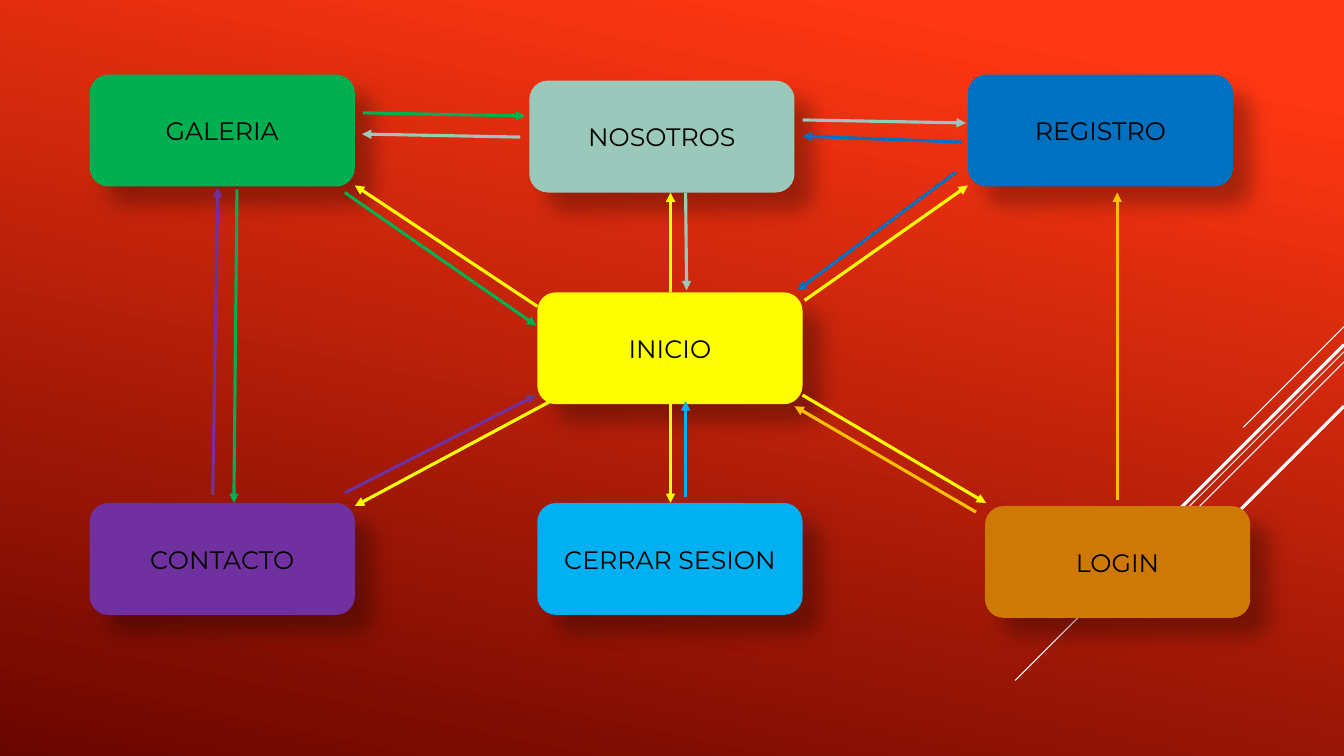
from dataclasses import dataclass

from lxml import etree
from pptx import Presentation
from pptx.dml.color import RGBColor
from pptx.enum.shapes import MSO_CONNECTOR, MSO_SHAPE
from pptx.enum.text import MSO_ANCHOR, PP_ALIGN
from pptx.oxml.ns import qn
from pptx.util import Inches, Pt

STRAIGHT = MSO_CONNECTOR.STRAIGHT
ROUNDED = MSO_SHAPE.ROUNDED_RECTANGLE
MIDDLE = MSO_ANCHOR.MIDDLE
CENTER = PP_ALIGN.CENTER

Point = tuple[float, float]


@dataclass(frozen=True)
class Theme:
    font: str = "Montserrat"
    text_size: float = 18
    text: str = "000000"
    shadow: str = "000000"
    backdrop_start: str = "FF3712"
    backdrop_end: str = "6A0600"
    ray: str = "FFFFFF"
    thin: float = 0.75
    thick: float = 2.25
    yellow: str = "FFFF00"
    purple: str = "7030A0"
    cyan: str = "00B0F0"
    sage: str = "9AC8BA"
    green: str = "00B050"
    blue: str = "0070C0"
    ochre: str = "CE7805"
    amber: str = "FFC000"


@dataclass(frozen=True)
class Ray:
    top: float
    reach: float
    width: float


@dataclass(frozen=True)
class SitePage:
    name: str
    left: float
    top: float
    fill: str


@dataclass(frozen=True)
class Routes:
    color: str
    ends: list[tuple[Point, Point]]


THEME = Theme()
SLIDE_WIDTH, SLIDE_HEIGHT = 13.33, 7.5
BOX_WIDTH, BOX_HEIGHT = 2.63, 1.11
LEFT_COLUMN, CENTER_COLUMN = 0.89, 5.33
TOP_ROW, BOTTOM_ROW = 0.74, 4.99

RAYS = [
    Ray(3.24, 1.0, THEME.thin),
    Ray(3.49, 3.26, THEME.thin),
    Ray(3.59, 2.07, THEME.thin),
    Ray(3.42, 1.91, THEME.thick),
    Ray(4.03, 1.39, THEME.thick),
]

SITE_PAGES = [
    SitePage("INICIO", CENTER_COLUMN, 2.9, THEME.yellow),
    SitePage("CONTACTO", LEFT_COLUMN, BOTTOM_ROW, THEME.purple),
    SitePage("CERRAR SESION", CENTER_COLUMN, BOTTOM_ROW, THEME.cyan),
    SitePage("NOSOTROS", 5.25, 0.8, THEME.sage),
    SitePage("GALERIA", LEFT_COLUMN, TOP_ROW, THEME.green),
    SitePage("REGISTRO", 9.6, TOP_ROW, THEME.blue),
    SitePage("LOGIN", 9.77, 5.02, THEME.ochre),
]

ROUTES = [
    Routes(THEME.yellow, [
        ((6.65, 2.9), (6.65, 1.91)),
        ((6.65, 3.97), (6.65, 4.99)),
        ((5.48, 3.97), (3.52, 5.02)),
        ((5.33, 3.04), (3.52, 1.84)),
        ((7.98, 2.98), (9.6, 1.84)),
        ((7.96, 3.92), (9.78, 4.99)),
    ]),
    Routes(THEME.amber, [
        ((9.68, 5.08), (7.88, 4.03)),
        ((11.08, 4.96), (11.08, 1.91)),
    ]),
    Routes(THEME.sage, [
        ((6.8, 1.91), (6.81, 2.88)),
        ((5.16, 1.36), (3.59, 1.33)),
        ((7.96, 1.19), (9.58, 1.22)),
    ]),
    Routes(THEME.green, [
        ((3.42, 1.91), (5.32, 3.23)),
        ((2.35, 1.88), (2.32, 4.99)),
        ((3.6, 1.12), (5.21, 1.15)),
    ]),
    Routes(THEME.blue, [
        ((9.48, 1.71), (7.91, 2.88)),
        ((9.54, 1.41), (7.96, 1.35)),
    ]),
    Routes(THEME.purple, [
        ((3.42, 4.89), (5.32, 3.92)),
        ((2.11, 4.91), (2.16, 1.86)),
    ]),
    Routes(THEME.cyan, [((6.8, 4.93), (6.8, 3.98))]),
]


def paint_backdrop(slide) -> None:
    fill = slide.background.fill
    fill.gradient()
    fill.gradient_angle = 258
    stops = [(0.1, THEME.backdrop_start), (1.0, THEME.backdrop_end)]
    for stop, (position, color) in zip(fill.gradient_stops, stops):
        stop.position = position
        stop.color.rgb = RGBColor.from_string(color)


def draw_line(slide, start: Point, end: Point, color: str, width: float):
    connector = slide.shapes.add_connector(
        STRAIGHT, *(Inches(value) for value in (*start, *end)))
    connector.line.color.rgb = RGBColor.from_string(color)
    connector.line.width = Pt(width)
    etree.SubElement(connector._element.spPr, qn("a:effectLst"))
    return connector


def draw_ray(slide, ray: Ray) -> None:
    end = (SLIDE_WIDTH - ray.reach, ray.top + ray.reach)
    draw_line(slide, (SLIDE_WIDTH, ray.top), end, THEME.ray, ray.width)


def draw_arrow(slide, start: Point, end: Point, color: str) -> None:
    arrow = draw_line(slide, start, end, color, THEME.thick)
    etree.SubElement(arrow.line._get_or_add_ln(), qn("a:tailEnd"), type="triangle")


def add_shadow(box) -> None:
    box.shadow.inherit = False
    effects = box._element.spPr.find(qn("a:effectLst"))
    shadow = etree.SubElement(
        effects, qn("a:outerShdw"), blurRad=str(Pt(15)), dist=str(Pt(18)),
        dir="2700000", rotWithShape="0")
    color = etree.SubElement(shadow, qn("a:srgbClr"), val=THEME.shadow)
    etree.SubElement(color, qn("a:alpha"), val="30000")


def draw_site_page(slide, site_page: SitePage) -> None:
    box = slide.shapes.add_shape(
        ROUNDED, Inches(site_page.left), Inches(site_page.top),
        Inches(BOX_WIDTH), Inches(BOX_HEIGHT))
    box.fill.solid()
    box.fill.fore_color.rgb = RGBColor.from_string(site_page.fill)
    box.line.fill.background()
    add_shadow(box)
    frame = box.text_frame
    frame.word_wrap = True
    frame.vertical_anchor = MIDDLE
    para = frame.paragraphs[0]
    para.text = site_page.name
    para.alignment = CENTER
    para.font.name = THEME.font
    para.font.size = Pt(THEME.text_size)
    para.font.color.rgb = RGBColor.from_string(THEME.text)


def main() -> None:
    deck = Presentation()
    deck.slide_width = Inches(SLIDE_WIDTH)
    deck.slide_height = Inches(SLIDE_HEIGHT)
    slide = deck.slides.add_slide(deck.slide_layouts[6])
    paint_backdrop(slide)
    for ray in RAYS:
        draw_ray(slide, ray)
    for site_page in SITE_PAGES:
        draw_site_page(slide, site_page)
    for routes in ROUTES:
        for start, end in routes.ends:
            draw_arrow(slide, start, end, routes.color)
    deck.save("out.pptx")


main()
